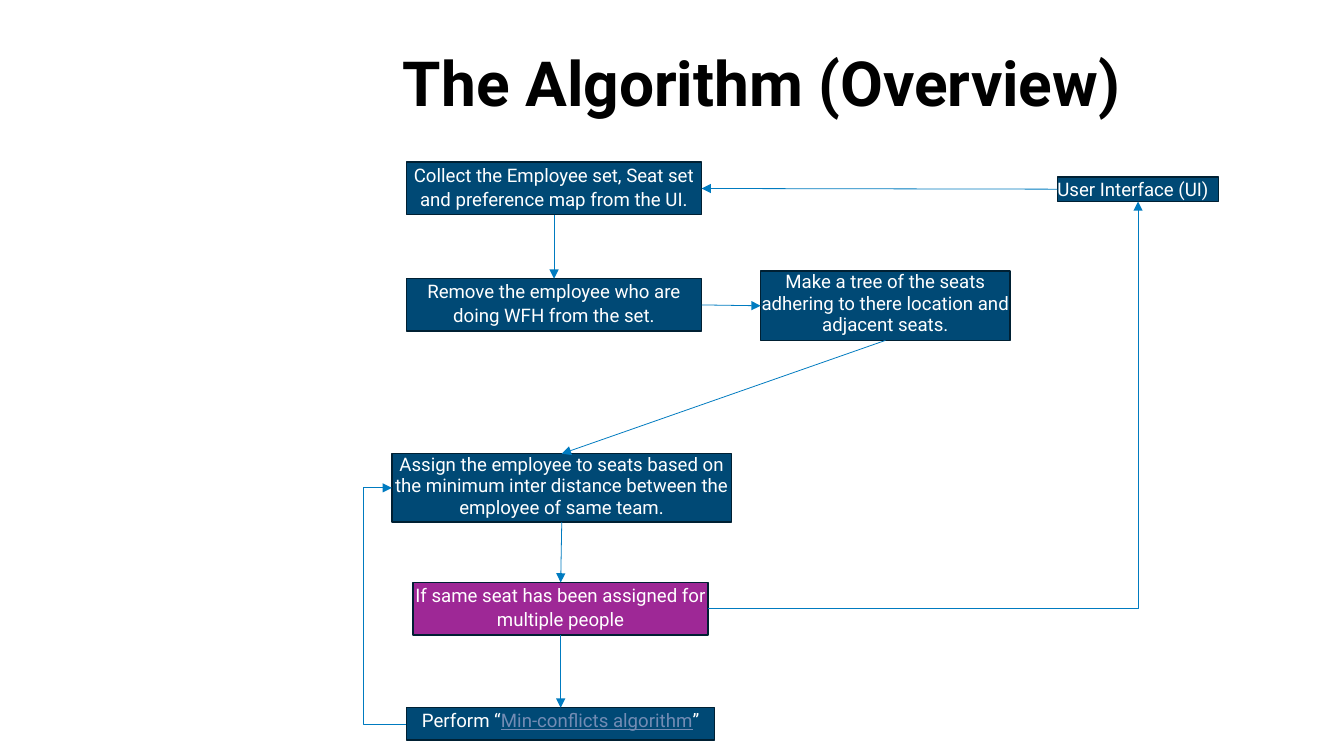
from dataclasses import dataclass

from lxml.etree import SubElement
from pptx import Presentation
from pptx.dml.color import RGBColor
from pptx.enum.shapes import MSO_CONNECTOR, MSO_SHAPE
from pptx.enum.text import MSO_ANCHOR, PP_ALIGN
from pptx.oxml.ns import qn
from pptx.util import Cm, Pt


@dataclass(frozen=True)
class Theme:
    font: str = "Roboto"
    head: int = 40
    body: int = 12
    ink: str = "000000"
    pale: str = "FFFFFF"
    blue: str = "004975"
    plum: str = "9E2896"
    edge: str = "002033"
    wire: str = "007BC0"
    term: str = "738CB4"


THEME = Theme()
TOP, LEFT, BOTTOM, RIGHT = range(4)

# Steps: left, top, width, height in cm within the chart; text; line spacing
STEPS = {
    "collect": (0.33, 0, 6.69, 1.19,
                "Collect the Employee set, Seat set and preference map from the UI.", 1.07),
    "ui": (15.09, 0.33, 3.66, 0.56, "User Interface (UI)", 1.07),
    "remove": (0.33, 2.64, 6.69, 1.19,
               "Remove the employee who are doing WFH from the set.", 1.07),
    "tree": (8.36, 2.47, 5.66, 1.57,
             "Make a tree of the seats adhering to there location and adjacent seats.", 0.97),
    "assign": (0, 6.61, 7.7, 1.55,
               "Assign the employee to seats based on the minimum inter distance "
               "between the employee of same team.", 0.97),
    "test": (0.48, 9.53, 6.69, 1.19,
             "If same seat has been assigned for multiple people", 1.07),
    "solve": (0.33, 12.37, 6.99, 0.74, "Perform “|Min-conflicts algorithm|”", 1.07),
}

# Straight arrows: start, side, end, side
LINKS = [
    ("ui", LEFT, "collect", RIGHT),
    ("collect", BOTTOM, "remove", TOP),
    ("remove", RIGHT, "tree", LEFT),
    ("tree", BOTTOM, "assign", TOP),
    ("assign", BOTTOM, "test", TOP),
    ("test", BOTTOM, "solve", TOP),
]


def color(name):
    return RGBColor.from_string(name)


def style(font, size, ink, bold=False):
    font.name, font.size, font.bold = THEME.font, Pt(size), bold
    font.color.rgb = color(ink)


def frame(shape, anchor):
    text = shape.text_frame
    text.word_wrap = True
    text.vertical_anchor = anchor
    text.margin_left = text.margin_top = text.margin_right = text.margin_bottom = 0
    return text


def title(slide, left, top, width, height):
    box = slide.shapes.add_textbox(Cm(left), Cm(top), Cm(width), Cm(height))
    para = frame(box, MSO_ANCHOR.BOTTOM).paragraphs[0]
    para.text = "The Algorithm (Overview)"
    style(para.font, THEME.head, THEME.ink, True)


def step(slide, left, top, width, height, words, pitch, fill, align):
    box = slide.shapes.add_shape(
        MSO_SHAPE.RECTANGLE, Cm(left), Cm(top), Cm(width), Cm(height))
    box.shadow.inherit = False
    box.fill.solid()
    box.fill.fore_color.rgb = color(fill)
    box.line.color.rgb = color(THEME.edge)
    box.line.width = Pt(1)
    para = frame(box, MSO_ANCHOR.TOP).paragraphs[0]
    para.alignment, para.line_spacing, para.space_before = align, pitch, Pt(5)
    style(para.font, THEME.body, THEME.pale)
    # Bars set off the underlined term
    for spot, part in enumerate(words.split("|")):
        run = para.add_run()
        run.text = part
        style(run.font, THEME.body, THEME.term if spot == 1 else THEME.pale)
        if spot == 1:
            run.font.underline = True
    return box


def arrow(slide, start, out, end, into, kind=MSO_CONNECTOR.STRAIGHT):
    link = slide.shapes.add_connector(kind, 0, 0, 0, 0)
    link.begin_connect(start, out)
    link.end_connect(end, into)
    link.line.color.rgb = color(THEME.wire)
    link.line.width = Pt(0.5)
    SubElement(link.get_or_add_ln(), qn("a:tailEnd"), type="triangle")
    SubElement(link.element.spPr, qn("a:effectLst"))
    return link


def chart(slide, left, top):
    # Boxes
    boxes = {}
    for name, (x, y, width, height, words, pitch) in STEPS.items():
        fill = THEME.plum if name == "test" else THEME.blue
        align = PP_ALIGN.LEFT if name == "ui" else PP_ALIGN.CENTER
        boxes[name] = step(slide, left + x, top + y, width, height,
                           words, pitch, fill, align)

    # Straight arrows
    for start, out, end, into in LINKS:
        arrow(slide, boxes[start], out, boxes[end], into)

    # Loop back through the left gutter
    loop = arrow(slide, boxes["solve"], LEFT, boxes["assign"], LEFT, MSO_CONNECTOR.ELBOW)
    reach = (loop.width + Cm(0.64)) / loop.width
    guides = loop.element.spPr.find(qn("a:prstGeom")).get_or_add_avLst()
    SubElement(guides, qn("a:gd"), name="adj1", fmla=f"val {round(reach * 100000)}")

    # Single bend up to the interface
    bend = arrow(slide, boxes["test"], RIGHT, boxes["ui"], BOTTOM, MSO_CONNECTOR.ELBOW)
    bend.element.spPr.find(qn("a:prstGeom")).set("prst", "bentConnector2")


def main():
    deck = Presentation()
    deck.slide_width, deck.slide_height = Cm(30.48), Cm(17.145)
    slide = deck.slides.add_slide(deck.slide_layouts[6])
    title(slide, 9.14, 0.71, 19.81, 1.98)
    chart(slide, 8.89, 3.68)
    deck.save("out.pptx")


if __name__ == "__main__":
    main()
